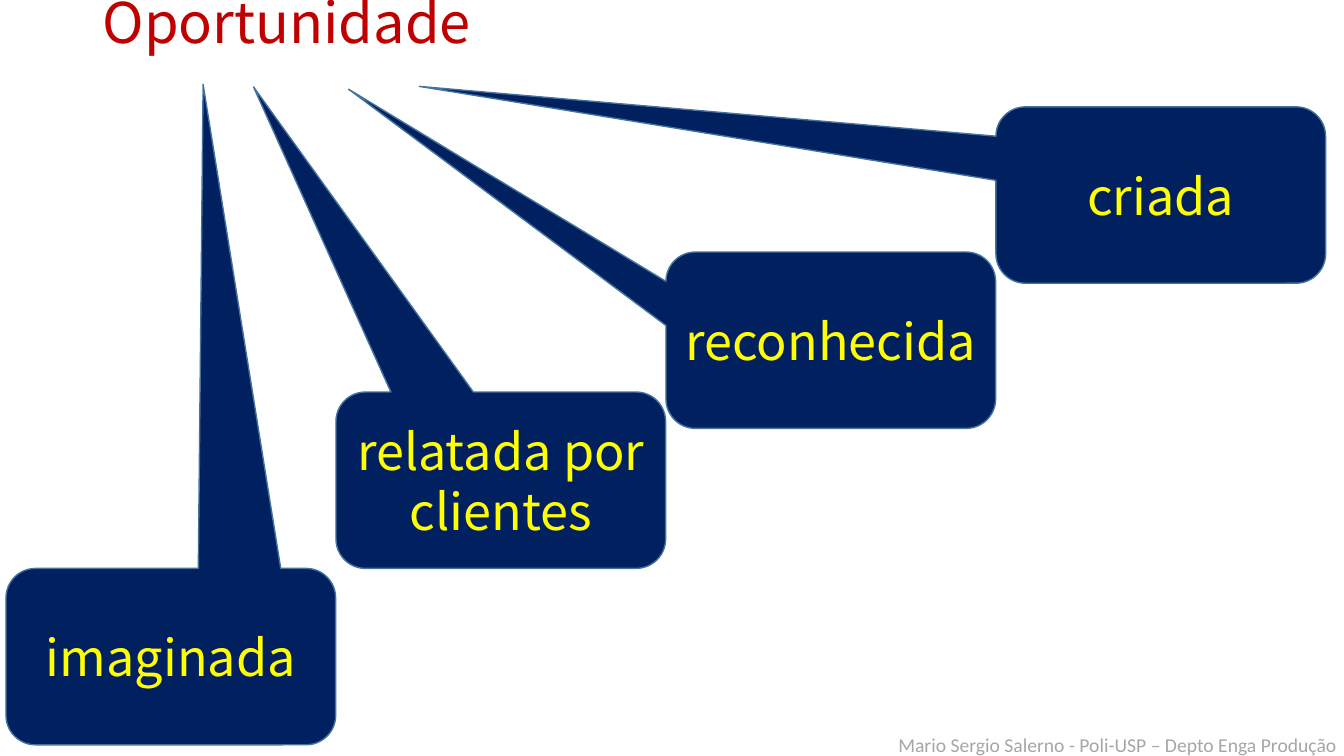
from dataclasses import dataclass

import pptx
import pptx.dml.color
import pptx.enum.shapes
import pptx.enum.text
import pptx.util

Pt = pptx.util.Pt
Align = pptx.enum.text.PP_ALIGN
Anchor = pptx.enum.text.MSO_ANCHOR


@dataclass(frozen=True)
class Theme:
    heading_font: str = "Noto Sans CJK SC"
    footer_font: str = "Calibri"
    title_size: float = 40
    callout_size: float = 36
    footer_size: float = 14
    title_color: str = "C00000"
    callout_text: str = "FFFF00"
    callout_fill: str = "002060"
    callout_line: str = "43739E"
    footer_color: str = "A6A6A6"


@dataclass(frozen=True)
class Callout:
    """A kind of opportunity; the tip is where its pointer ends."""
    label: str
    top: float
    tip_x: float
    tip_y: float


THEME = Theme()
SLIDE_WIDTH, SLIDE_HEIGHT = 960, 540
CALLOUT_WIDTH, CALLOUT_HEIGHT = 235.5, 126
FIRST_LEFT, LEFT_STEP = 4.3, 235.7
CORNER = 0.167

CALLOUTS = [
    Callout("imaginada", 406, 145.1, 60.2),
    Callout("relatada por clientes", 280, 181.1, 62.1),
    Callout("reconhecida", 180, 249, 63.7),
    Callout("criada", 76.3, 299.6, 61.7),
]


def rgb(value: str) -> pptx.dml.color.RGBColor:
    return pptx.dml.color.RGBColor.from_string(value)


def write(frame, text: str, *, font: str, size: float, color: str,
          align=Align.LEFT, anchor=Anchor.TOP, spacing: float = 1.0) -> None:
    frame.word_wrap = True
    frame.vertical_anchor = anchor
    paragraph = frame.paragraphs[0]
    paragraph.alignment = align
    paragraph.line_spacing = spacing
    run = paragraph.add_run()
    run.text = text
    run.font.name = font
    run.font.size = Pt(size)
    run.font.color.rgb = rgb(color)


def add_text(slide, left: float, top: float, width: float, height: float,
             text: str, **style):
    frame = slide.shapes.add_textbox(
        Pt(left), Pt(top), Pt(width), Pt(height)).text_frame
    write(frame, text, **style)
    return frame


def add_callout(slide, callout: Callout, left: float) -> None:
    bubble = slide.shapes.add_shape(
        pptx.enum.shapes.MSO_SHAPE.ROUNDED_RECTANGULAR_CALLOUT,
        Pt(left), Pt(callout.top), Pt(CALLOUT_WIDTH), Pt(CALLOUT_HEIGHT))
    # The pointer is measured from the centre, as a share of the size
    bubble.adjustments[0] = (callout.tip_x - left) / CALLOUT_WIDTH - 0.5
    bubble.adjustments[1] = (callout.tip_y - callout.top) / CALLOUT_HEIGHT - 0.5
    bubble.adjustments[2] = CORNER
    bubble.shadow.inherit = False
    bubble.fill.solid()
    bubble.fill.fore_color.rgb = rgb(THEME.callout_fill)
    bubble.line.color.rgb = rgb(THEME.callout_line)
    bubble.line.width = Pt(1)
    write(bubble.text_frame, callout.label, font=THEME.heading_font,
          size=THEME.callout_size, color=THEME.callout_text,
          align=Align.CENTER, anchor=Anchor.MIDDLE)


def main() -> None:
    deck = pptx.Presentation()
    deck.slide_width, deck.slide_height = Pt(SLIDE_WIDTH), Pt(SLIDE_HEIGHT)
    slide = deck.slides.add_slide(deck.slide_layouts[6])

    # Footer
    footer = add_text(
        slide, 585, 519.8, 375, 24.5,
        "Mario Sergio Salerno - Poli-USP – Depto Enga Produção",
        font=THEME.footer_font, size=THEME.footer_size,
        color=THEME.footer_color, align=Align.RIGHT)
    footer.margin_right = Pt(5)

    # Title
    title = add_text(slide, 66.2, -3.6, 828, 104.4, "Oportunidade",
                     font=THEME.heading_font, size=THEME.title_size,
                     color=THEME.title_color, spacing=0.9)
    title.margin_top = 0

    # Rising staircase of callouts pointing at the title
    for step, callout in enumerate(CALLOUTS):
        add_callout(slide, callout, FIRST_LEFT + step * LEFT_STEP)

    deck.save("out.pptx")


if __name__ == "__main__":
    main()
